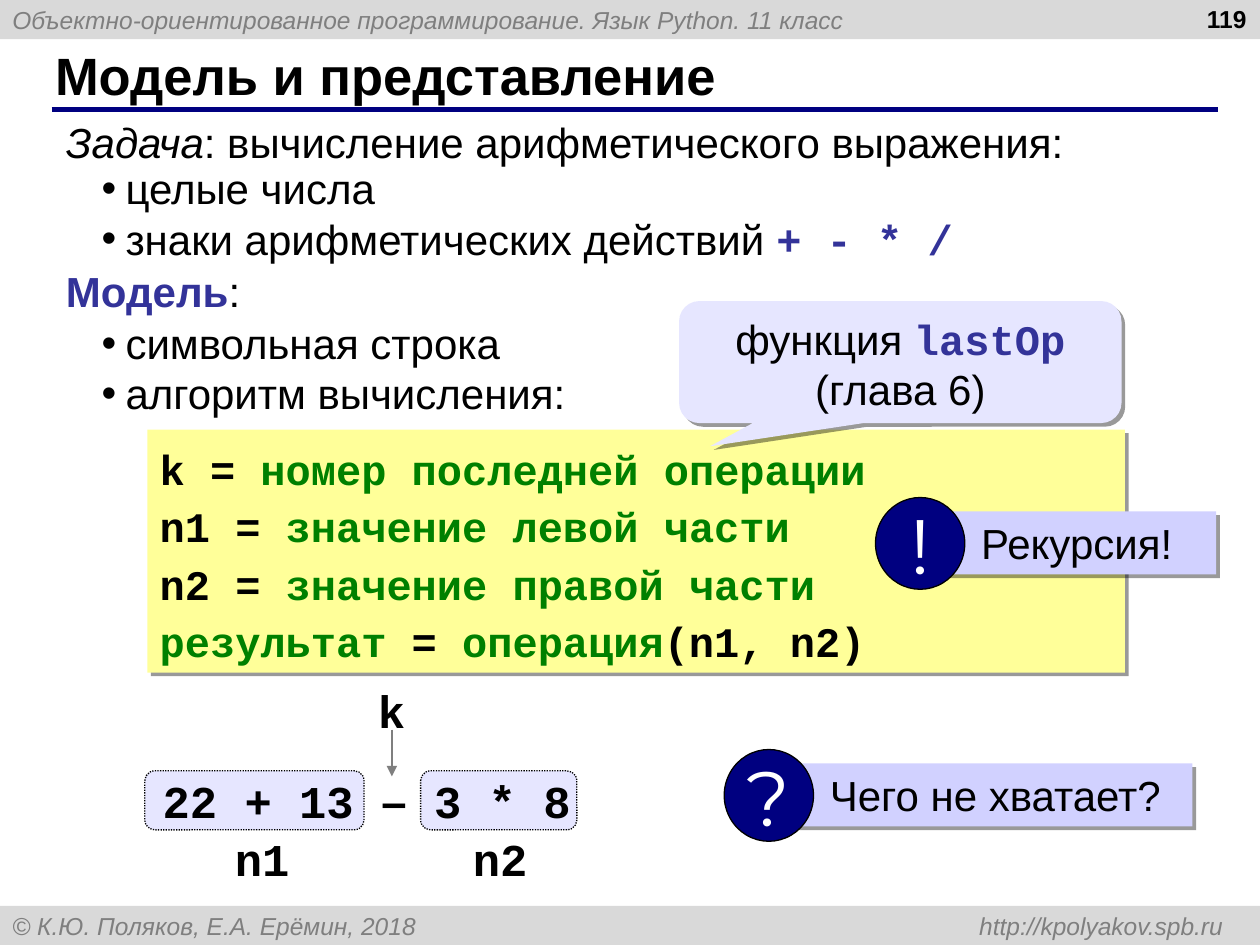
from lxml import etree
from pptx import Presentation
from pptx import util as u
from pptx.dml.color import RGBColor
from pptx.enum import dml, shapes, text
from pptx.oxml import ns

# ---- Content: each paragraph is a list of (text, style) runs ----
STYLES = {  # font, colour, bold, italic
    "plain": ("Arial", "000000", False, False),
    "bold": ("Arial", "000000", True, False),
    "italic": ("Arial", "000000", False, True),
    "term": ("Arial", "333399", True, False),
    "bar": ("Arial", "7F7F7F", False, True),
    "code": ("Courier New", "000000", True, False),
    "pseudo": ("Courier New", "008000", True, False),
    "key": ("Courier New", "333399", True, False),
    "sign": ("Montserrat", "FFFFFF", False, False),
}
TITLE = [[("Модель и представление", "bold")]]
HEADER = [[("Объектно-ориентированное программирование. Язык Python. 11 класс", "bar")]]
FOOTER = [[("© К.Ю. Поляков, Е.А. Ерёмин, 2018\thttp://kpolyakov.spb.ru", "bar")]]
LISTS = [  # top, items
    (3.15, [[("целые числа", "plain")],
            [("знаки арифметических действий ", "plain"), ("+ - * /", "key")]]),
    (6.27, [[("символьная строка", "plain")],
            [("алгоритм вычисления:", "plain")]]),
]
LEADS = [  # top, width, text
    (2.21, 23.3, [[("Задача", "italic"),
                   (": вычисление арифметического выражения:", "plain")]]),
    (5.23, 4.04, [[("Модель", "term"), (":", "plain")]]),
]
ALGORITHM = [
    [("k = ", "code"), ("номер последней операции", "pseudo")],
    [("n1 = ", "code"), ("значение левой части", "pseudo")],
    [("n2 = ", "code"), ("значение правой части", "pseudo")],
    [("результат ", "pseudo"), ("= ", "code"), ("операция", "pseudo"),
     ("(n1, n2)", "code")],
]
CALLOUT = [[("функция ", "plain"), ("lastOp ", "key"), ("(глава 6)", "plain")]]
EXPRESSION = [[("22 + 13 ", "code"), ("–", "bold"), (" 3 * 8", "code")]]
OPERANDS = [(2.92, 4.42), (8.48, 3.15)]  # left, width
LABELS = [("n1", 3.66, 16.66), ("n2", 8.46, 16.66), ("k", 6.27, 13.67)]
BADGES = [  # sign, text, left, top, width of the strip
    ("!", "Рекурсия!", 17.65, 10.03, 5.46),
    ("?", "Чего не хватает?", 14.6, 15.11, 8.03),
]

SHAPE = shapes.MSO_SHAPE
ALIGN = text.PP_ALIGN
ANCHOR = text.MSO_ANCHOR
INSETS = (0.25, 0.13, 0.25, 0.13)
TIGHT = (0.1, 0.1, 0.1, 0)


# ---- Helpers ----
def rgb(value):
    return RGBColor.from_string(value)


def node(parent, tag, **attrs):
    return etree.SubElement(parent, ns.qn(tag), attrs)


def place(shape, left, top, width, height):
    shape.left, shape.top = u.Cm(left), u.Cm(top)
    shape.width, shape.height = u.Cm(width), u.Cm(height)


def write(shape, paragraphs, size=24, align=ALIGN.LEFT, anchor=ANCHOR.TOP,
          insets=INSETS, spacing=1.0, wrap=True, bullet=False):
    tf = shape.text_frame
    tf.auto_size = text.MSO_AUTO_SIZE.NONE
    tf.word_wrap, tf.vertical_anchor = wrap, anchor
    (tf.margin_left, tf.margin_top,
     tf.margin_right, tf.margin_bottom) = map(u.Cm, insets)
    for i, runs in enumerate(paragraphs):
        p = tf.add_paragraph() if i else tf.paragraphs[0]
        if bullet:
            hang = u.Cm(0.48)
            pPr = p._p.get_or_add_pPr()
            pPr.set("marL", str(hang))
            pPr.set("indent", str(-hang))
            node(node(pPr, "a:buClr"), "a:srgbClr", val="000000")
            node(pPr, "a:buFont", typeface="Arial")
            node(pPr, "a:buChar", char="•")
        p.alignment, p.line_spacing = align, spacing
        p.space_before = u.Pt(0)
        for words, style in runs:
            r = p.add_run()
            r.text = words
            font, colour, bold, italic = STYLES[style]
            r.font.name, r.font.size = font, u.Pt(size)
            r.font.bold, r.font.italic = bold, italic
            r.font.color.rgb = rgb(colour)


def add_box(parent, kind, box, fill, outline=None, shadow=False):
    sp = parent.add_shape(kind, *map(u.Cm, box))
    sp.shadow.inherit = False
    sp.fill.solid()
    sp.fill.fore_color.rgb = rgb(fill)
    if outline:
        sp.line.color.rgb = rgb(outline)
        sp.line.width = u.Pt(0.75)
    else:
        sp.line.fill.background()
    if shadow:
        effects = sp._element.spPr.find(ns.qn("a:effectLst"))
        outer = node(effects, "a:outerShdw", dist=str(u.Pt(3)), dir="2700000",
                     algn="ctr", rotWithShape="0")
        node(node(outer, "a:srgbClr", val="000000"), "a:alpha", val="40000")
    return sp


def add_text(parent, box, paragraphs, **options):
    write(parent.add_textbox(*map(u.Cm, box)), paragraphs, **options)


def add_line(parent, ends, colour, width):
    line = parent.add_connector(shapes.MSO_CONNECTOR.STRAIGHT, *map(u.Cm, ends))
    line.line.color.rgb = rgb(colour)
    line.line.width = u.Pt(width)
    node(line._element.spPr, "a:effectLst")
    return line


prs = Presentation()
prs.slide_width, prs.slide_height = u.Cm(25.4), u.Cm(19.05)
s = prs.slides.add_slide(prs.slide_layouts[3])

# ---- Title and lists ----
place(s.shapes.title, 0.86, 0.84, 23.27, 1.32)
write(s.shapes.title, TITLE, size=30, anchor=ANCHOR.MIDDLE)
for body, (top, items) in zip(list(s.placeholders)[1:], LISTS):
    place(body, 1.8, top, 22.63, 2.29)
    write(body, items, bullet=True)

# ---- Header, footer, page number, rule under the title ----
for top, words in ((0, HEADER), (18.26, FOOTER)):
    bar = add_box(s.shapes, SHAPE.RECTANGLE, (0, top, 25.4, 0.79), "D9D9D9")
    write(bar, words, size=14, anchor=ANCHOR.MIDDLE)
tabs = node(bar.text_frame.paragraphs[0]._p.get_or_add_pPr(), "a:tabLst")
node(tabs, "a:tab", pos=str(u.Cm(24.41)), algn="r")
add_text(s.shapes, (19.46, -0.05, 5.92, 1.32), [[("119", "bold")]],
         size=14, align=ALIGN.RIGHT)
add_line(s.shapes, (1.04, 2.21, 24.56, 2.21), "000080", 3)

# ---- Lead-in lines and the algorithm ----
for top, width, words in LEADS:
    add_text(s.shapes, (1.08, top, width, 1.27), words)
algorithm = add_box(s.shapes, SHAPE.RECTANGLE, (2.97, 8.66, 19.71, 4.9),
                    "FFFF99", shadow=True)
write(algorithm, ALGORITHM, anchor=ANCHOR.MIDDLE, spacing=1.14)

# ---- Expression split at the last operation ----
g = s.shapes.add_group_shape().shapes
for left, width in OPERANDS:
    operand = add_box(g, SHAPE.ROUNDED_RECTANGLE, (left, 15.54, width, 1.19),
                      "E6E6FF", outline="000000")
    operand.line.dash_style = dml.MSO_LINE.ROUND_DOT
add_text(g, (3.18, 15.49, 9.22, 1.4), EXPRESSION, size=26, insets=TIGHT)
arrow = add_line(g, (7.9, 14.71, 7.9, 15.65), "7F7F7F", 1.5)
node(arrow.line._get_or_add_ln(), "a:tailEnd", type="triangle")
for name, left, top in LABELS:
    add_text(g, (left, top, 3.25, 1.4), [[(name, "code")]], size=26,
             align=ALIGN.CENTER, insets=TIGHT)

# ---- Callout ----
callout = add_box(s.shapes, SHAPE.ROUNDED_RECTANGULAR_CALLOUT,
                  (13.69, 6.07, 8.92, 2.46), "E6E6FF", shadow=True)
callout.adjustments[0], callout.adjustments[1] = -0.43, 0.69
write(callout, CALLOUT, align=ALIGN.CENTER)

# ---- Badges: a strip with a round sign over its left end ----
for sign, words, left, top, width in BADGES:
    g = s.shapes.add_group_shape().shapes
    strip = add_box(g, SHAPE.RECTANGLE, (left + 1.41, top + 0.28, width, 1.27),
                    "D1D1FF", shadow=True)
    write(strip, [[(words, "plain")]], insets=(0.72, 0.13, 0.25, 0.13))
    disc = add_box(g, SHAPE.OVAL, (left, top, 1.8, 1.85), "000080", outline="000000")
    write(disc, [[(sign, "sign")]], size=44, align=ALIGN.CENTER,
          anchor=ANCHOR.MIDDLE, wrap=False)

prs.save("out.pptx")
